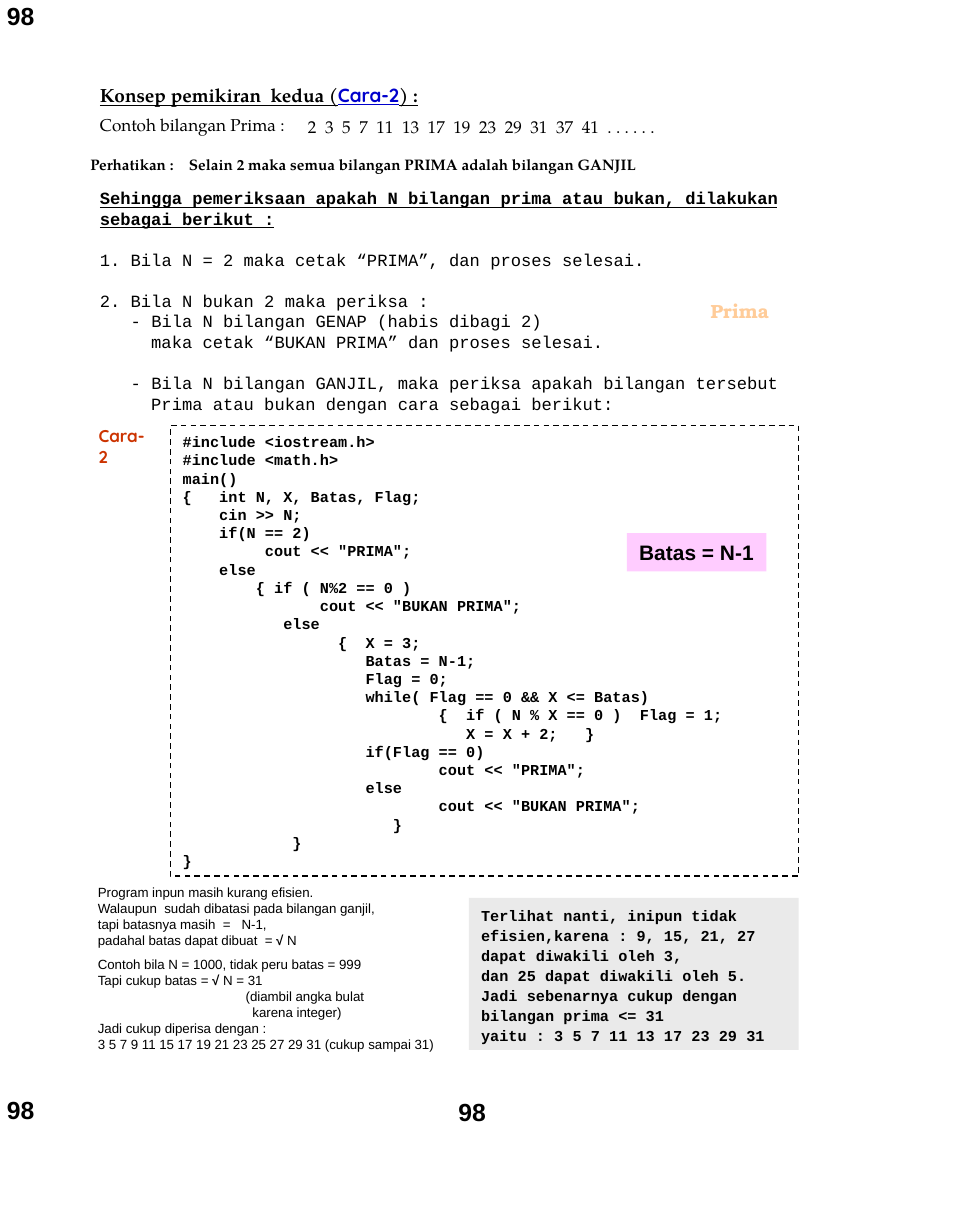
from dataclasses import dataclass

import pptx
import pptx.dml.color
import pptx.enum.dml
import pptx.enum.shapes
import pptx.enum.text
import pptx.util

WIDTH, HEIGHT = pptx.util.Inches(7), pptx.util.Inches(9)
COLUMNS, ROWS = 70, 90
PAGELLA, COURIER, QUICKSAND = "TeX Gyre Pagella", "Courier New", "Quicksand"


@dataclass
class Run:
    text: str
    bold: bool | None = None
    font: str | None = None
    color: str | None = None
    underline: bool = False


@dataclass
class Line:
    runs: list[Run]
    indent: float = 0
    before: float = 0
    tab: float = 0


@dataclass
class Block:
    column: float
    row: float
    columns: float
    rows: float
    lines: list[Line]
    size: float
    font: str
    color: str = "000000"
    bold: bool = False
    wrap: bool = True
    grow: bool = True
    centred: bool = False
    spacing: float | None = None
    fill: str | None = None
    dashed: bool = False


def line(text: str, indent: float = 0, before: float = 0, tab: float = 0) -> Line:
    return Line([Run(text)], indent, before, tab)


def rgb(color: str) -> pptx.dml.color.RGBColor:
    return pptx.dml.color.RGBColor.from_string(color)


def across(columns: float) -> int:
    return round(WIDTH * columns / COLUMNS)


def down(rows: float) -> int:
    return round(HEIGHT * rows / ROWS)


def add_frame(slide, block: Block):
    place = (across(block.column), down(block.row), across(block.columns), down(block.rows))
    if not (block.fill or block.dashed):
        return slide.shapes.add_textbox(*place).text_frame
    panel = slide.shapes.add_shape(pptx.enum.shapes.MSO_SHAPE.RECTANGLE, *place)
    panel.shadow.inherit = False
    if block.fill:
        panel.fill.solid()
        panel.fill.fore_color.rgb = rgb(block.fill)
    else:
        panel.fill.background()
    if block.dashed:
        panel.line.color.rgb = rgb("000000")
        panel.line.width = pptx.util.Pt(0.75)
        panel.line.dash_style = pptx.enum.dml.MSO_LINE.DASH
    else:
        panel.line.fill.background()
    return panel.text_frame


def add_line(paragraph, content: Line, block: Block) -> None:
    align = pptx.enum.text.PP_ALIGN
    paragraph.alignment = align.CENTER if block.centred else align.LEFT
    if block.spacing:
        paragraph.line_spacing = block.spacing
    if content.before:
        paragraph.space_before = pptx.util.Pt(content.before)
    properties = paragraph._p.get_or_add_pPr()
    if content.indent:
        properties.set("marL", str(across(content.indent)))
        properties.set("indent", "0")
    if content.tab:
        stops = properties.makeelement(pptx.oxml.ns.qn("a:tabLst"), {})
        stops.append(stops.makeelement(
            pptx.oxml.ns.qn("a:tab"), {"pos": str(across(content.tab)), "algn": "l"}))
        properties.append(stops)
    for part in content.runs:
        run = paragraph.add_run()
        run.text = part.text
        run.font.size = pptx.util.Pt(block.size)
        run.font.name = part.font or block.font
        run.font.bold = block.bold if part.bold is None else part.bold
        run.font.underline = part.underline
        run.font.color.rgb = rgb(part.color or block.color)


def add_block(slide, block: Block) -> None:
    frame = add_frame(slide, block)
    frame.word_wrap = block.wrap
    sizing = pptx.enum.text.MSO_AUTO_SIZE
    frame.auto_size = sizing.SHAPE_TO_FIT_TEXT if block.grow else sizing.NONE
    frame.vertical_anchor = pptx.enum.text.MSO_ANCHOR.TOP
    frame.margin_left = frame.margin_right = across(0.9)
    frame.margin_top = frame.margin_bottom = down(0.5)
    for index, content in enumerate(block.lines):
        paragraph = frame.add_paragraph() if index else frame.paragraphs[0]
        add_line(paragraph, content, block)


PROGRAM = """\
#include <iostream.h>
#include <math.h>
main()
{   int N, X, Batas, Flag;
    cin >> N;
    if(N == 2)
         cout << "PRIMA";
    else
        { if ( N%2 == 0 )
               cout << "BUKAN PRIMA";
           else
                 {  X = 3;
                    Batas = N-1;
                    Flag = 0;
                    while( Flag == 0 && X <= Batas)
                            {  if ( N % X == 0 )  Flag = 1;
                               X = X + 2;   }
                    if(Flag == 0)
                            cout << "PRIMA";
                    else
                            cout << "BUKAN PRIMA";
                       }
            }
}"""

TITLE = [Line([Run("Konsep pemikiran  kedua (", underline=True),
               Run("Cara-2", font=QUICKSAND, color="0000CC", underline=True),
               Run(") :", underline=True)])]

STEPS = [
    Line([Run("Sehingga pemeriksaan apakah N bilangan prima atau bukan, dilakukan "
              "sebagai berikut :", bold=True, underline=True)]),
    line("1. Bila N = 2 maka cetak “PRIMA”, dan proses selesai.", before=10.8),
    line("2. Bila N bukan 2 maka periksa :", before=10.8),
    line("- Bila N bilangan GENAP (habis dibagi 2)", indent=2.25),
    line("maka cetak “BUKAN PRIMA” dan proses selesai.", indent=3.75),
    line("- Bila N bilangan GANJIL, maka periksa apakah bilangan tersebut",
         indent=2.25, before=10.8),
    line("Prima atau bukan dengan cara sebagai berikut:", indent=3.75),
]

REMARKS = [
    line("Program inpun masih kurang efisien."),
    line("Walaupun  sudah dibatasi pada bilangan ganjil,"),
    line("tapi batasnya masih  =\tN-1,", tab=10.5),
    Line([Run("padahal batas dapat dibuat  = "), Run("√ ", bold=True), Run("N")]),
    line("Contoh bila N = 1000, tidak peru batas = 999", before=4.2),
    Line([Run("Tapi cukup batas = "), Run("√ ", bold=True), Run("N = 31")]),
    line("(diambil angka bulat", indent=10.8),
    line("karena integer)", indent=11.3),
    line("Jadi cukup diperisa dengan :"),
    line("3 5 7 9 11 15 17 19 21 23 25 27 29 31 (cukup sampai 31)"),
]

CONCLUSION = [
    line("Terlihat nanti, inipun tidak efisien,karena : 9, 15, 21, 27 dapat diwakili oleh 3,"),
    line("dan 25 dapat diwakili oleh 5."),
    line("Jadi sebenarnya cukup dengan bilangan prima <= 31"),
    line("yaitu : 3 5 7 11 13 17 23 29 31"),
]

PRIMES = "2  3  5  7  11  13  17  19  23  29  31  37  41  . . . . . ."
NOTICE = "Perhatikan :\tSelain 2 maka semua bilangan PRIMA adalah bilangan GANJIL"

BLOCKS = [
    Block(6.4, 7.9, 16.3, 2.4, [line("Contoh bilangan Prima :")], 9, PAGELLA, wrap=False),
    Block(21.6, 8, 29.5, 2.4, [line(PRIMES)], 9, PAGELLA, wrap=False),
    Block(5.7, 10.85, 45.1, 2.2, [line(NOTICE, tab=7.2)], 8, PAGELLA, bold=True, wrap=False),
    Block(6.4, 13.2, 54.3, 17.5, STEPS, 9, COURIER),
    Block(6.4, 5.6, 28.8, 2.6, TITLE, 10, PAGELLA, bold=True),
    Block(12.45, 31.1, 45.9, 32.9, [line(text) for text in PROGRAM.splitlines()],
          8, COURIER, bold=True, dashed=True),
    Block(6.25, 64.1, 29.6, 13.2, REMARKS, 7, "Arial"),
    Block(34.25, 65.6, 24.1, 11.1, CONCLUSION, 8, COURIER, bold=True, spacing=1.1, fill="EAEAEA"),
    Block(45.8, 38.95, 10.2, 2.8, [line("Batas = N-1")], 11, "Arial", bold=True,
          wrap=False, fill="FFCCFF"),
    Block(49, 21.4, 10.1, 2.3, [line("Prima")], 10, "TeX Gyre Bonum", "FFCC99", bold=True,
          wrap=False, grow=False, centred=True),
    Block(6.3, 30.6, 5.8, 2.4, [line("Cara-2")], 9, QUICKSAND, "CC3300", bold=True),
] + [
    Block(column, row, 4.2, 3.1, [line("98")], 13, "Arial", bold=True, wrap=False, grow=False)
    for column, row in ((32.6, 79.6), (-0.4, 79.5), (-0.4, -0.4))
]


def main() -> None:
    deck = pptx.Presentation()
    deck.slide_width, deck.slide_height = WIDTH, HEIGHT
    slide = deck.slides.add_slide(deck.slide_layouts[6])
    for block in BLOCKS:
        add_block(slide, block)
    deck.save("out.pptx")


if __name__ == "__main__":
    main()
